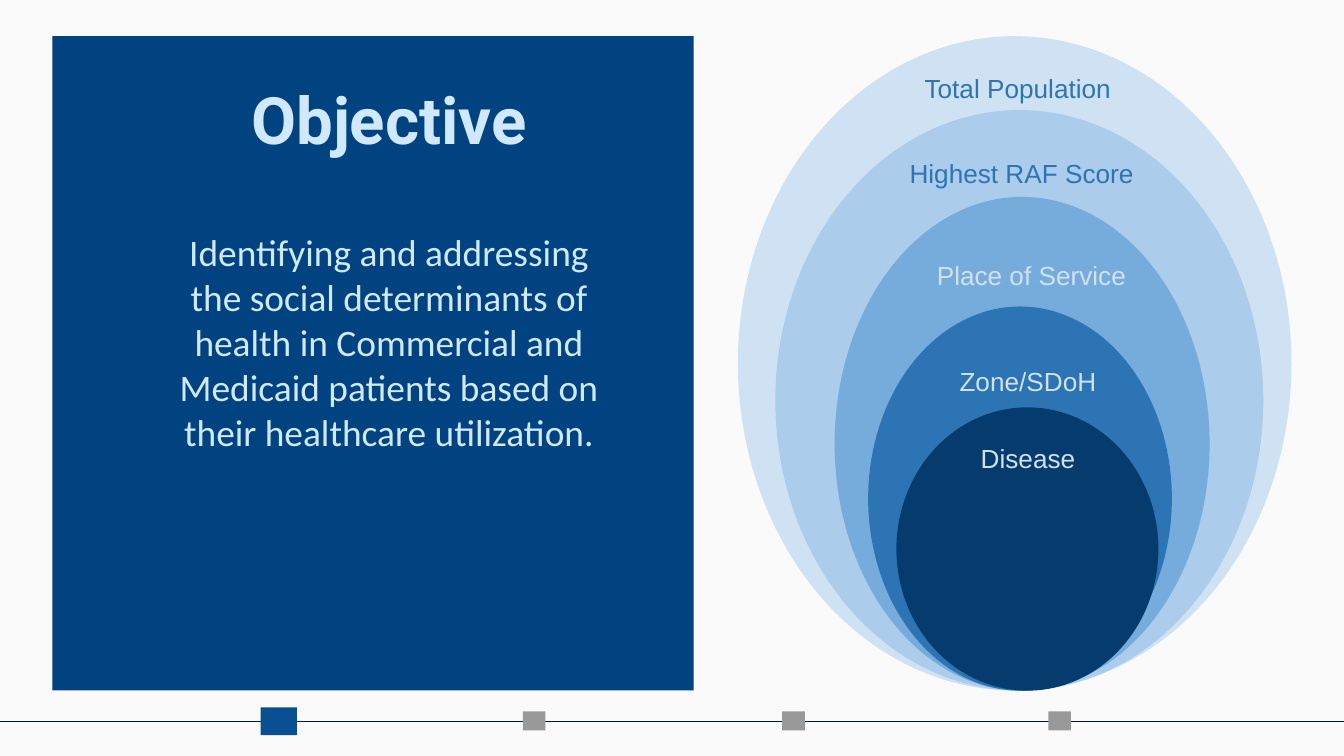
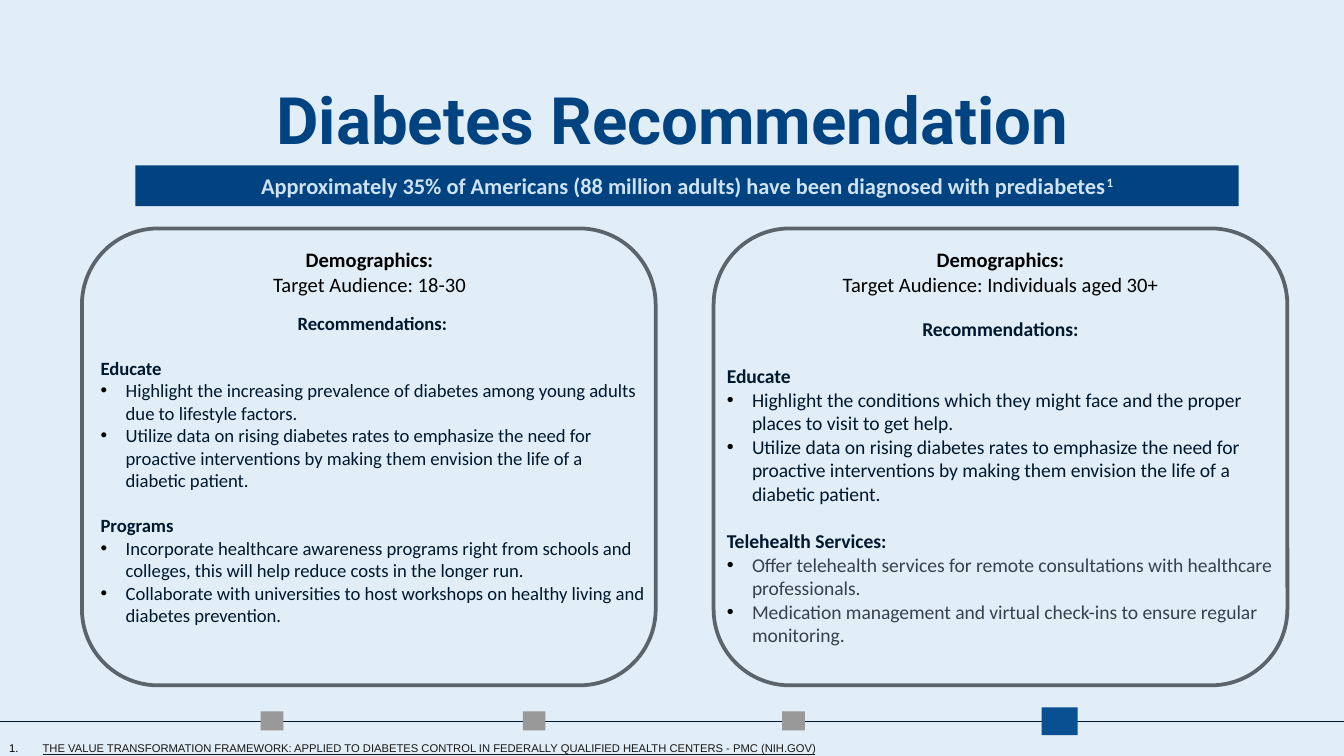
from dataclasses import dataclass, replace

from lxml.etree import SubElement
from pptx import Presentation
from pptx.dml.color import RGBColor
from pptx.enum.shapes import MSO_CONNECTOR, MSO_SHAPE
from pptx.enum.text import MSO_ANCHOR, MSO_AUTO_SIZE, PP_ALIGN
from pptx.oxml.ns import qn
from pptx.util import Pt

COLORS = {
    "paper": "FAFAFA",
    "mist": "E1EDF7",
    "navy": "004380",
    "ink": "00182E",
    "sky": "D1E9FF",
    "current": "085092",
    "marker": "999999",
    "outline": "5B636B",
    "black": "000000",
    "slate": "374151",
    "note": "191919",
    "ring1": "CFE2F3",
    "ring2": "ABCCEA",
    "ring3": "75ACDC",
    "ring4": "2D74B4",
    "ring5": "063C6D",
}
SLIDE_WIDTH, SLIDE_HEIGHT = 720, 405
TRACK_Y = 386.7
MARKER_LEFTS = (139.7, 280.1, 419, 561.6)
RINGS_BOTTOM = 370
LEFT, CENTER = PP_ALIGN.LEFT, PP_ALIGN.CENTER


@dataclass(frozen=True)
class Style:
    size: float
    color: str
    font: str = "Calibri"
    bold: bool = False
    underline: bool = False
    raised: bool = False


def rgb(name):
    return RGBColor.from_string(COLORS[name])


def add_slide(presentation, background):
    slide = presentation.slides.add_slide(presentation.slide_layouts[6])
    slide.background.fill.solid()
    slide.background.fill.fore_color.rgb = rgb(background)
    return slide


def add_block(slide, kind, box, fill=None, line=None):
    """Add a preset shape; box is left, top, width, height in points."""
    shape = slide.shapes.add_shape(kind, *map(Pt, box))
    shape.shadow.inherit = False
    if fill:
        shape.fill.solid()
        shape.fill.fore_color.rgb = rgb(fill)
    else:
        shape.fill.background()
    if line:
        shape.line.color.rgb = rgb(line)
        shape.line.width = Pt(2)
    else:
        shape.line.fill.background()
    return shape


def add_run(paragraph, text, style):
    run = paragraph.add_run()
    run.text = text
    font = run.font
    font.name = style.font
    font.size = Pt(style.size)
    font.bold = style.bold
    font.underline = style.underline
    font.color.rgb = rgb(style.color)
    if style.raised:
        font._element.set("baseline", "30000")


def add_paragraph(frame, runs, align=LEFT, space_before=0):
    """Append a paragraph of (text, style) runs, filling the empty first one."""
    paragraph = frame.paragraphs[0]
    if paragraph.runs:
        paragraph = frame.add_paragraph()
    paragraph.alignment = align
    if space_before:
        paragraph.space_before = Pt(space_before)
    for text, style in runs:
        add_run(paragraph, text, style)
    return paragraph


def set_bullet(paragraph, indent, tag, **attributes):
    """Give a paragraph a hanging indent in points and a black bullet or number."""
    properties = paragraph._p.get_or_add_pPr()
    properties.set("marL", str(Pt(indent)))
    properties.set("indent", str(-Pt(indent)))
    color = SubElement(properties, qn("a:buClr"))
    SubElement(color, qn("a:srgbClr"), val=COLORS["black"])
    SubElement(properties, qn("a:buFont"), typeface="Arial")
    SubElement(properties, qn(tag), **attributes)


def add_text_box(slide, box):
    frame = slide.shapes.add_textbox(*map(Pt, box)).text_frame
    frame.word_wrap = True
    frame.auto_size = MSO_AUTO_SIZE.SHAPE_TO_FIT_TEXT
    return frame


def add_title(slide, text, width, color):
    frame = add_text_box(slide, (56.9, 35.3, width, 45.4))
    frame.auto_size = MSO_AUTO_SIZE.NONE
    frame.margin_top = frame.margin_bottom = Pt(7.2)
    style = Style(35, color, "Roboto", bold=True)
    add_paragraph(frame, [(text, style)], CENTER)


def add_track_line(slide):
    line = slide.shapes.add_connector(
        MSO_CONNECTOR.STRAIGHT, Pt(SLIDE_WIDTH), Pt(TRACK_Y), Pt(0), Pt(TRACK_Y))
    line.line.color.rgb = rgb("ink")
    line.line.width = Pt(0.75)
    SubElement(line._element.spPr, qn("a:effectLst"))


def add_track(slide, current, current_left):
    """Add the progress line, with a larger marker at the current step."""
    add_track_line(slide)
    for step, left in enumerate(MARKER_LEFTS):
        if step == current:
            box, fill = (current_left, 378.9, 19.4, 15), "current"
        else:
            box, fill = (left, 381.1, 12.2, 10.2), "marker"
        add_block(slide, MSO_SHAPE.RECTANGLE, box, fill)


def add_rings(slide, rings):
    """Draw nested ellipses that share one bottom edge, then their labels."""
    for _, fill, left, top, width, *_ in rings:
        box = (left, top, width, RINGS_BOTTOM - top)
        add_block(slide, MSO_SHAPE.OVAL, box, fill)
    for label, _, _, _, _, left, top, width, color, align in rings:
        frame = add_text_box(slide, (left, top, width, 24.2))
        add_paragraph(frame, [(label, Style(14, color, "Arial"))], align)


def add_audience(slide, box, audience):
    frame = add_text_box(slide, box)
    style = Style(11, "black")
    add_paragraph(frame, [("Demographics:", replace(style, bold=True))], CENTER)
    add_paragraph(frame, [(f"Target Audience: {audience}", style)], CENTER)


def add_recommendations(slide, box, size, sections):
    """Sections are (heading, bullet colour, bullet texts)."""
    frame = add_text_box(slide, box)
    heading_style = Style(size, "ink", bold=True)
    add_paragraph(frame, [("Recommendations:", heading_style)], CENTER)
    for heading, color, items in sections:
        add_paragraph(frame, [(heading, heading_style)], space_before=size * 1.22)
        for item in items:
            paragraph = add_paragraph(frame, [(item, Style(size, color))])
            set_bullet(paragraph, 13.5, "a:buChar", char="•")


def build_objective(presentation):
    slide = add_slide(presentation, "paper")
    add_block(slide, MSO_SHAPE.RECTANGLE, (28.1, 19.4, 343.6, 350.6), "navy")
    add_title(slide, "Objective", 303.1, "sky")
    frame = add_text_box(slide, (85.7, 119.5, 245.5, 177.1))
    add_paragraph(frame, [(
        "Identifying and addressing the social determinants of health in "
        "Commercial and Medicaid patients based on their healthcare utilization.",
        Style(20, "sky"))], CENTER)
    # label, fill, ellipse left/top/width, label left/top/width, colour, alignment
    add_rings(slide, [
        ("Total Population", "ring1", 395.3, 19.4, 296.6,
         488.2, 35.3, 116.6, "ring4", LEFT),
        ("Highest RAF Score", "ring2", 415.4, 59, 261.4,
         480.2, 80.6, 141.1, "ring4", LEFT),
        ("Place of Service", "ring3", 447.1, 105.5, 200.9,
         483.1, 135.4, 139, "ring1", CENTER),
        ("Zone/SDoH", "ring4", 465.1, 164.2, 162.7,
         480.2, 192.2, 141.1, "ring1", CENTER),
        ("Disease", "ring5", 480.2, 218.2, 140.4,
         480.2, 233.3, 141.1, "ring1", CENTER),
    ])
    add_track(slide, 0, 139.7)


def build_diabetes(presentation):
    slide = add_slide(presentation, "mist")
    for left in (43.9, 382.3):
        add_block(slide, MSO_SHAPE.ROUNDED_RECTANGLE,
                  (left, 122.4, 307.4, 244.8), line="outline")
    add_track(slide, 3, 558)
    add_title(slide, "Diabetes Recommendation", 607, "navy")

    banner = add_block(slide, MSO_SHAPE.RECTANGLE, (72.5, 88.6, 591.1, 21.8), "navy")
    banner.text_frame.word_wrap = True
    banner.text_frame.vertical_anchor = MSO_ANCHOR.MIDDLE
    style = Style(12, "ring1", bold=True)
    add_paragraph(banner.text_frame, [
        ("Approximately 35% of Americans (88 million adults) have been "
         "diagnosed with prediabetes", style),
        ("1", replace(style, raised=True)),
    ], CENTER)

    add_audience(slide, (90, 128.9, 216, 33.8), "18-30")
    add_recommendations(slide, (46.8, 163.4, 305.3, 189.4), 10, [
        ("Educate", "ink", [
            "Highlight the increasing prevalence of diabetes among young adults "
            "due to lifestyle factors.",
            "Utilize data on rising diabetes rates to emphasize the need for "
            "proactive interventions by making them envision the life of a "
            "diabetic patient."]),
        ("Programs", "ink", [
            "Incorporate healthcare awareness programs right from schools and "
            "colleges, this will help reduce costs in the longer run.",
            "Collaborate with universities to host workshops on healthy living "
            "and diabetes prevention."]),
    ])

    add_audience(slide, (400.3, 128.9, 271.4, 33.8), "Individuals aged 30+")
    add_recommendations(slide, (382.3, 166.3, 307.4, 185), 10.5, [
        ("Educate", "ink", [
            "Highlight the conditions which they might face and the proper "
            "places to visit to get help.",
            "Utilize data on rising diabetes rates to emphasize the need "
            "for proactive interventions by making them envision the life of a "
            "diabetic patient."]),
        ("Telehealth Services:", "slate", [
            "Offer telehealth services for remote consultations with healthcare "
            "professionals.",
            "Medication management and virtual check-ins to ensure regular "
            "monitoring."]),
    ])

    frame = add_text_box(slide, (-2.2, 393.8, 506.9, 14.4))
    reference = add_paragraph(frame, [(
        "THE VALUE TRANSFORMATION FRAMEWORK: APPLIED TO DIABETES CONTROL IN "
        "FEDERALLY QUALIFIED HEALTH CENTERS - PMC (NIH.GOV)",
        Style(6, "note", "Arial", underline=True))])
    set_bullet(reference, 18, "a:buAutoNum", type="arabicPeriod")


def main():
    presentation = Presentation()
    presentation.slide_width = Pt(SLIDE_WIDTH)
    presentation.slide_height = Pt(SLIDE_HEIGHT)
    build_objective(presentation)
    build_diabetes(presentation)
    presentation.save("out.pptx")


if __name__ == "__main__":
    main()
